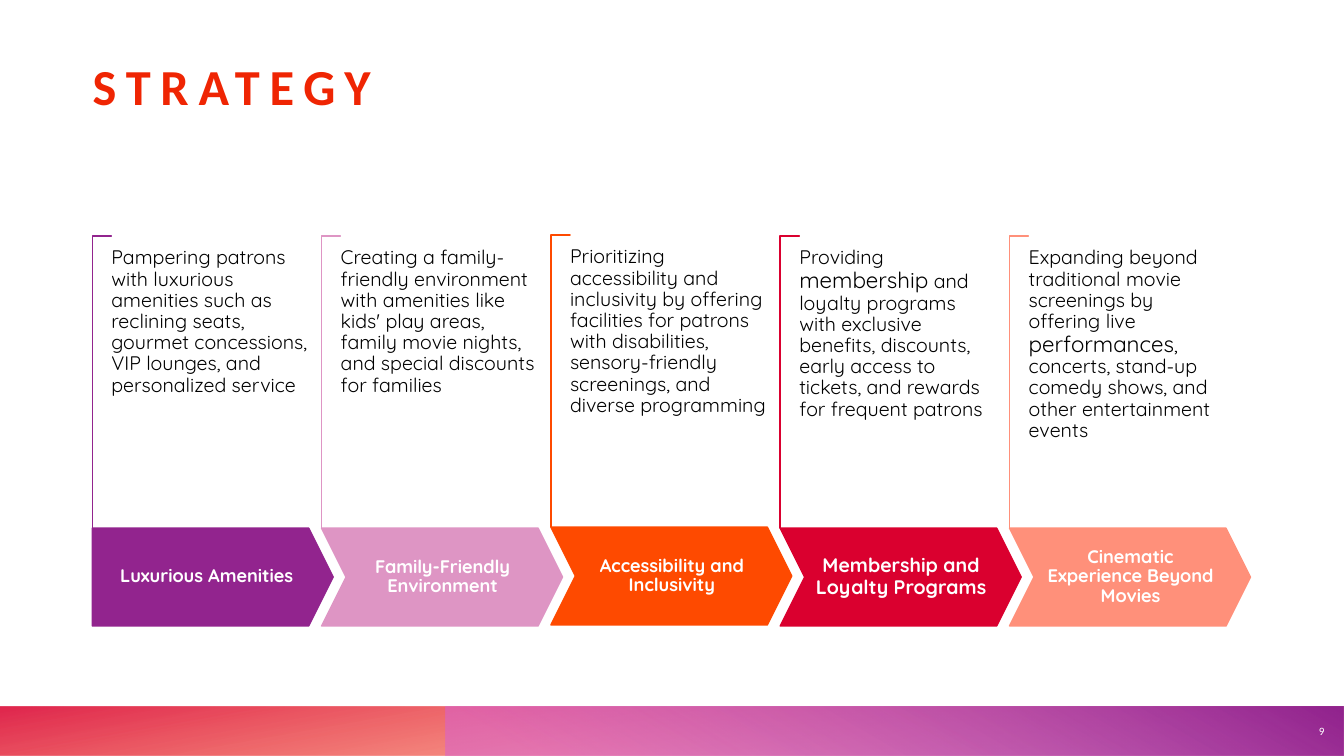
from dataclasses import dataclass

import pptx
import pptx.dml.color
import pptx.enum.shapes
import pptx.enum.text
import pptx.oxml
import pptx.oxml.ns
import pptx.util

SHAPE = pptx.enum.shapes.MSO_SHAPE
ALIGN = pptx.enum.text.PP_ALIGN
ANCHOR = pptx.enum.text.MSO_ANCHOR


@dataclass(frozen=True)
class Theme:
    display: str = "Calibri"
    text: str = "Quicksand"
    title: str = "EF2503"
    white: str = "FFFFFF"
    black: str = "000000"
    purple: str = "92248E"
    pink: str = "DE95C4"
    orchid: str = "D861D4"
    orange: str = "FE4A00"
    red: str = "DA002F"
    salmon: str = "FF907A"
    title_size: int = 36
    body_size: int = 14
    strong_size: int = 16
    label_size: int = 13
    large_label_size: int = 14
    number_size: int = 8


THEME = Theme()


@dataclass(frozen=True)
class Grid:
    step: float = 0.1
    columns: float = 133.33
    rows: float = 75
    margin: float = 9.15
    pitch: float = 22.75

    def length(self, cells: float) -> pptx.util.Length:
        return pptx.util.Inches(cells * self.step)


GRID = Grid()


@dataclass(frozen=True)
class Area:
    column: float
    row: float
    columns: float
    rows: float

    def lengths(self) -> list[pptx.util.Length]:
        return [GRID.length(cells) for cells in (self.column, self.row, self.columns, self.rows)]


@dataclass(frozen=True)
class Span:
    text: str
    size: int
    color: str
    font: str = THEME.text
    bold: bool = False
    tracking: int = 0


@dataclass(frozen=True)
class Stop:
    position: int
    color: str
    opacity: int = 100


@dataclass(frozen=True)
class Stage:
    label: str
    color: str
    before: str
    strong: str = ""
    after: str = ""
    label_size: int = THEME.label_size
    lift: float = 0


STAGES = (
    Stage("Luxurious Amenities", THEME.purple,
          "Pampering patrons with luxurious amenities such as reclining seats, gourmet "
          "concessions, VIP lounges, and personalized service"),
    Stage("Family-Friendly Environment", THEME.pink,
          "Creating a family-friendly environment with amenities like kids' play areas, "
          "family movie nights, and special discounts for families"),
    Stage("Accessibility and Inclusivity", THEME.orange,
          "Prioritizing accessibility and inclusivity by offering facilities for patrons "
          "with disabilities, sensory-friendly screenings, and diverse programming", lift=0.1),
    Stage("Membership and Loyalty Programs", THEME.red, "Providing ", "membership",
          " and loyalty programs with exclusive benefits, discounts, early access to "
          "tickets, and rewards for frequent patrons", THEME.large_label_size),
    Stage("Cinematic Experience Beyond Movies", THEME.salmon,
          "Expanding beyond traditional movie screenings by offering live ", "performances",
          ", concerts, stand-up comedy shows, and other entertainment events"),
)


def rgb(color: str) -> pptx.dml.color.RGBColor:
    return pptx.dml.color.RGBColor.from_string(color)


def add_text(page, area: Area, spans: list[Span], align=ALIGN.LEFT, anchor=ANCHOR.TOP,
             inset: tuple[float, float] = (0, 0), spacing: float = 1.0) -> None:
    frame = page.shapes.add_textbox(*area.lengths()).text_frame
    frame.word_wrap = True
    frame.vertical_anchor = anchor
    frame.margin_left = frame.margin_right = GRID.length(inset[0])
    frame.margin_top = frame.margin_bottom = GRID.length(inset[1])
    para = frame.paragraphs[0]
    para.alignment = align
    para.line_spacing = spacing
    for span in spans:
        run = para.add_run()
        run.text = span.text
        run.font.name = span.font
        run.font.size = pptx.util.Pt(span.size)
        run.font.bold = span.bold
        run.font.color.rgb = rgb(span.color)
        if span.tracking:
            run._r.get_or_add_rPr().set("spc", str(span.tracking * 100))


def add_solid(page, preset, area: Area, fill: str, line: str, adjustments: tuple[float, ...]):
    shape = page.shapes.add_shape(preset, *area.lengths())
    shape.shadow.inherit = False
    shape.fill.solid()
    shape.fill.fore_color.rgb = rgb(fill)
    shape.line.color.rgb = rgb(line)
    shape.line.width = pptx.util.Pt(1)
    for index, value in enumerate(adjustments):
        shape.adjustments[index] = value
    return shape


def add_band(page, area: Area, stops: tuple[Stop, ...], angle: int, rotation: int = 0) -> None:
    shape = page.shapes.add_shape(SHAPE.RECTANGLE, *area.lengths())
    shape.shadow.inherit = False
    shape.line.fill.background()
    shape.rotation = rotation
    properties = shape._element.spPr
    properties.find(pptx.oxml.ns.qn("a:xfrm")).set("flipH", "1")
    marks = "".join(
        f'<a:gs pos="{stop.position * 1000}"><a:srgbClr val="{stop.color}">'
        f'<a:alpha val="{stop.opacity * 1000}"/></a:srgbClr></a:gs>' for stop in stops)
    gradient = pptx.oxml.parse_xml(
        f'<a:gradFill {pptx.oxml.ns.nsdecls("a")} rotWithShape="1"><a:gsLst>{marks}</a:gsLst>'
        f'<a:lin ang="{angle * 60000}" scaled="0"/></a:gradFill>')
    properties.find(pptx.oxml.ns.qn("a:prstGeom")).addnext(gradient)


def add_stage(page, index: int, stage: Stage) -> None:
    left = GRID.margin + index * GRID.pitch
    top, base = 23.4 - stage.lift, 52.4 - stage.lift
    height, thickness = base - top, 1.9
    bracket = Area(left + (thickness - height) / 2, top + (height - thickness) / 2,
                   height, thickness)
    corner = add_solid(page, SHAPE.CORNER, bracket, THEME.white, stage.color, (0.01, 0.01))
    corner.rotation = 90

    first = index == 0
    arrow = SHAPE.PENTAGON if first else SHAPE.CHEVRON
    add_solid(page, arrow, Area(left, base, 23.9, 9.7), stage.color, stage.color, (0.25,))
    label_area = Area(left, base, 22.7, 9.7) if first else Area(left + 2.45, base, 19.1, 9.7)
    add_text(page, label_area, [Span(stage.label, stage.label_size, THEME.white, bold=True)],
             ALIGN.CENTER, ANCHOR.MIDDLE, (0.9, 1.8), 0.9)

    parts = ((stage.before, THEME.body_size), (stage.strong, THEME.strong_size),
             (stage.after, THEME.body_size))
    spans = [Span(text, size, THEME.black) for text, size in parts if text]
    add_text(page, Area(left + thickness, top + 1.2, 19.5, 26.7), spans, spacing=0.9)


def main() -> None:
    deck = pptx.Presentation()
    deck.slide_width = GRID.length(GRID.columns)
    deck.slide_height = GRID.length(GRID.rows)
    page = deck.slides.add_slide(deck.slide_layouts[6])

    add_band(page, Area(0, 70.1, GRID.columns, 4.9),
             (Stop(14, THEME.orange, 28), Stop(100, THEME.red, 85)), 100, 180)
    add_band(page, Area(44.2, 70.1, GRID.columns - 44.2, 4.9),
             (Stop(9, THEME.orchid, 55), Stop(99, THEME.purple)), 240)
    add_text(page, Area(9.2, 5.1, 112, 6.4),
             [Span("STRATEGY", THEME.title_size, THEME.title, THEME.display, True, 7)],
             anchor=ANCHOR.BOTTOM)
    for index, stage in enumerate(STAGES):
        add_stage(page, index, stage)
    add_text(page, Area(127.6, 70.1, 4.8, 4.9),
             [Span("9", THEME.number_size, THEME.white, THEME.display)],
             ALIGN.RIGHT, ANCHOR.MIDDLE, (1, 0.5))
    deck.save("out.pptx")


if __name__ == "__main__":
    main()
